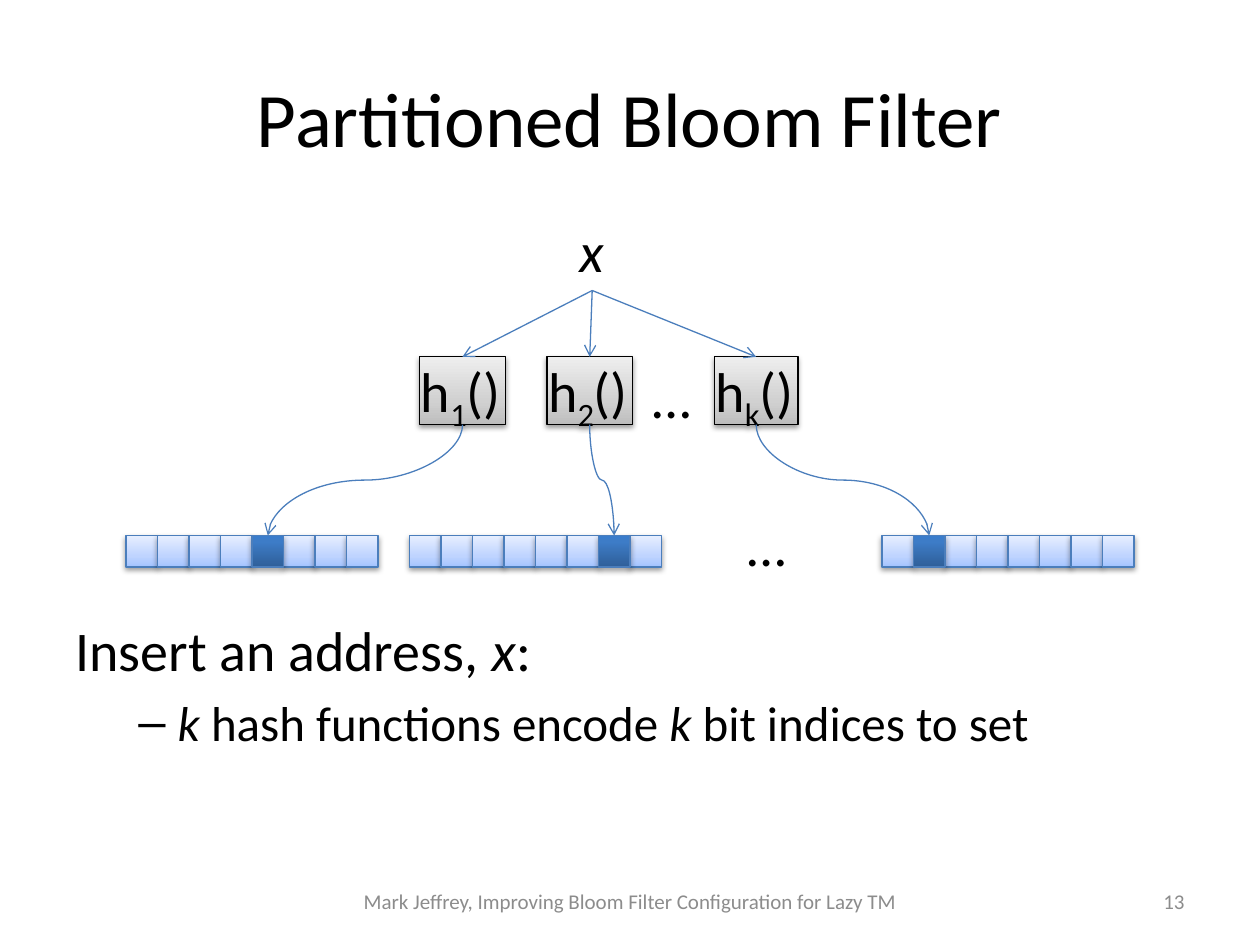
from lxml import etree
from pptx import Presentation
from pptx import util as u
from pptx.dml import color
from pptx.enum import shapes, text
from pptx.oxml import ns

Pt = u.Pt
THEME = {
    "font": "Calibri",
    "title": 44, "body": 32, "sub": 28, "footer": 12,
    "ink": "000000", "muted": "8C8C8C", "line": "4B7EBC",
    # gradient stops, outline, shadow opacity and shadow distance
    "hash": ([(0, "BDBDBD"), (35, "D1D1D1"), (100, "EEEEEE")], "000000", 38, 1.6),
    "clear": ([(0, "A4C4FF"), (35, "BFD4FF"), (100, "E6EEFF")], "4B7EBC", 38, 1.6),
    "set": ([(0, "2F5F99"), (80, "3D7CC7"), (100, "3A7CCB")], "4B7EBC", 35, 1.8),
}


def write(para, spans, size, ink="ink"):
    """Add spans; * before a span makes it italic, _ makes it subscript."""
    for words in spans:
        span = para.add_run()
        span.text = words.lstrip("*_")
        looks = {"name": THEME["font"], "size": Pt(THEME[size]), "italic": words.startswith("*")}
        for name, value in looks.items():
            setattr(span.font, name, value)
        span.font.color.rgb = color.RGBColor.from_string(THEME[ink])
        if words.startswith("_"):
            span.font._element.set("baseline", "-25000")


def add_block(left, top, width, height, look):
    """Add a rectangle with a vertical gradient and a soft shadow below it."""
    stops, outline, opacity, distance = THEME[look]
    block = page.shapes.add_shape(shapes.MSO_SHAPE.RECTANGLE, Pt(left), Pt(top), Pt(width), Pt(height))
    block.fill.gradient()
    block.fill.gradient_angle = 90
    stop_list = block._element.spPr.find(".//" + ns.qn("a:gsLst"))
    for stop in list(stop_list):
        stop_list.remove(stop)
    for place, rgb in stops:
        stop = etree.SubElement(stop_list, ns.qn("a:gs"), pos=str(place * 1000))
        etree.SubElement(stop, ns.qn("a:srgbClr"), val=rgb)
    block.line.color.rgb = color.RGBColor.from_string(outline)
    block.line.width = Pt(0.75)
    block.shadow.inherit = False
    effects = block._element.spPr.find(ns.qn("a:effectLst"))
    shadow = etree.SubElement(effects, ns.qn("a:outerShdw"), blurRad=str(Pt(3.1)),
                              dist=str(Pt(distance)), dir="5400000", rotWithShape="0")
    tint = etree.SubElement(shadow, ns.qn("a:srgbClr"), val="000000")
    etree.SubElement(tint, ns.qn("a:alpha"), val=str(opacity * 1000))
    return block


deck = Presentation()
deck.slide_width, deck.slide_height = Pt(720), Pt(540)
page = deck.slides.add_slide(deck.slide_layouts[6])

# Title, footer, page number and body
ALIGN, ANCHOR = text.PP_ALIGN, text.MSO_ANCHOR
frames = [
    ((36, 21.6, 648, 90), ANCHOR.MIDDLE, ALIGN.CENTER, ["Partitioned Bloom Filter"], "title", "ink"),
    ((171, 500.5, 378, 28.75), ANCHOR.MIDDLE, ALIGN.CENTER,
     ["Mark Jeffrey, Improving Bloom Filter Configuration for Lazy TM"], "footer", "muted"),
    ((606, 500.5, 78, 28.75), ANCHOR.MIDDLE, ALIGN.RIGHT, ["13"], "footer", "muted"),
    ((36, 348, 648, 134.5), ANCHOR.TOP, ALIGN.LEFT, ["Insert an address, ", "*x", ":"], "body", "ink"),
]
for place, anchor, align, spans, size, ink in frames:
    box = page.shapes.add_textbox(*map(Pt, place))
    box.text_frame.word_wrap = True
    box.text_frame.vertical_anchor = anchor
    para = box.text_frame.paragraphs[0]
    para.alignment = align
    write(para, spans, size, ink)

point = box.text_frame.add_paragraph()
point.level = 1
props = point._p.get_or_add_pPr()
props.set("marL", str(Pt(58.5)))
props.set("indent", str(Pt(-22.5)))
etree.SubElement(props, ns.qn("a:buFont"), typeface="Arial")
etree.SubElement(props, ns.qn("a:buChar"), char="–")
point.space_before = Pt(5.6)
write(point, ["*k ", "hash functions encode ", "*k ", "bit indices to set"], "sub")

# Address and ellipses
labels = []
for words, left, top, width, side in [("*x", 324, 120, 28.8, 7.2),
                                      ("…", 372.25, 203.8, 23.8, 0.72),
                                      ("…", 426.25, 288, 23.8, 0.72)]:
    label = page.shapes.add_textbox(Pt(left), Pt(top), Pt(width), Pt(46))
    looks = {"word_wrap": False, "auto_size": text.MSO_AUTO_SIZE.SHAPE_TO_FIT_TEXT,
             "margin_left": Pt(side), "margin_right": Pt(side)}
    for name, value in looks.items():
        setattr(label.text_frame, name, value)
    write(label.text_frame.paragraphs[0], [words], "body")
    labels.append(label)
address = labels[0]

# Each hash function sets one bit in its own partition
CELL, BITS, ROW_TOP = 18, 8, 306
arrows = []
for index, left, width, row_left, set_bit in [("1", 239.8, 49, 72, 4),
                                              ("2", 312.5, 49, 234, 6),
                                              ("k", 408.2, 47.8, 504, 1)]:
    hash_box = add_block(left, 203.9, width, 38.8, "hash")
    looks = {"word_wrap": False, "auto_size": text.MSO_AUTO_SIZE.SHAPE_TO_FIT_TEXT,
             "vertical_anchor": ANCHOR.TOP, "margin_left": Pt(0.72), "margin_right": Pt(0.72),
             "margin_top": 0, "margin_bottom": 0}
    for name, value in looks.items():
        setattr(hash_box.text_frame, name, value)
    para = hash_box.text_frame.paragraphs[0]
    para.alignment = ALIGN.LEFT
    write(para, ["h", "_" + index, "()"], "body")

    # The set bit comes last so that it lies above its neighbours
    for bit in sorted(range(BITS), key=lambda number: number == set_bit):
        cell = add_block(row_left + bit * CELL, ROW_TOP, CELL, CELL,
                         "set" if bit == set_bit else "clear")

    straight = page.shapes.add_connector(shapes.MSO_CONNECTOR.STRAIGHT, 0, 0, 0, 0)
    straight.begin_connect(address, 2)
    straight.end_connect(hash_box, 0)

    curve = page.shapes.add_connector(shapes.MSO_CONNECTOR.CURVE, 0, 0, 0, 0)
    curve.begin_connect(hash_box, 2)
    curve.end_connect(cell, 0)
    # Turn the curve a quarter so that it leaves and arrives vertically
    x1, y1, x2, y2 = curve.begin_x, curve.begin_y, curve.end_x, curve.end_y
    run, drop = abs(x2 - x1), y2 - y1
    turned = {"left": (x1 + x2 - drop) // 2, "top": (y1 + y2 - run) // 2, "width": drop, "height": run}
    for name, value in turned.items():
        setattr(curve, name, value)
    xfrm = curve._element.spPr.find(ns.qn("a:xfrm"))
    for name in ("flipH", "flipV"):
        xfrm.attrib.pop(name, None)
    xfrm.set("rot", "5400000" if x2 < x1 else "16200000")
    if x2 > x1:
        xfrm.set("flipH", "1")
    arrows += [straight, curve]

for arrow in arrows:
    arrow.line.color.rgb = color.RGBColor.from_string(THEME["line"])
    arrow.line.width = Pt(0.75)
    etree.SubElement(arrow.line._get_or_add_ln(), ns.qn("a:tailEnd"), type="arrow")
    etree.SubElement(arrow._element.spPr, ns.qn("a:effectLst"))

deck.save("out.pptx")
